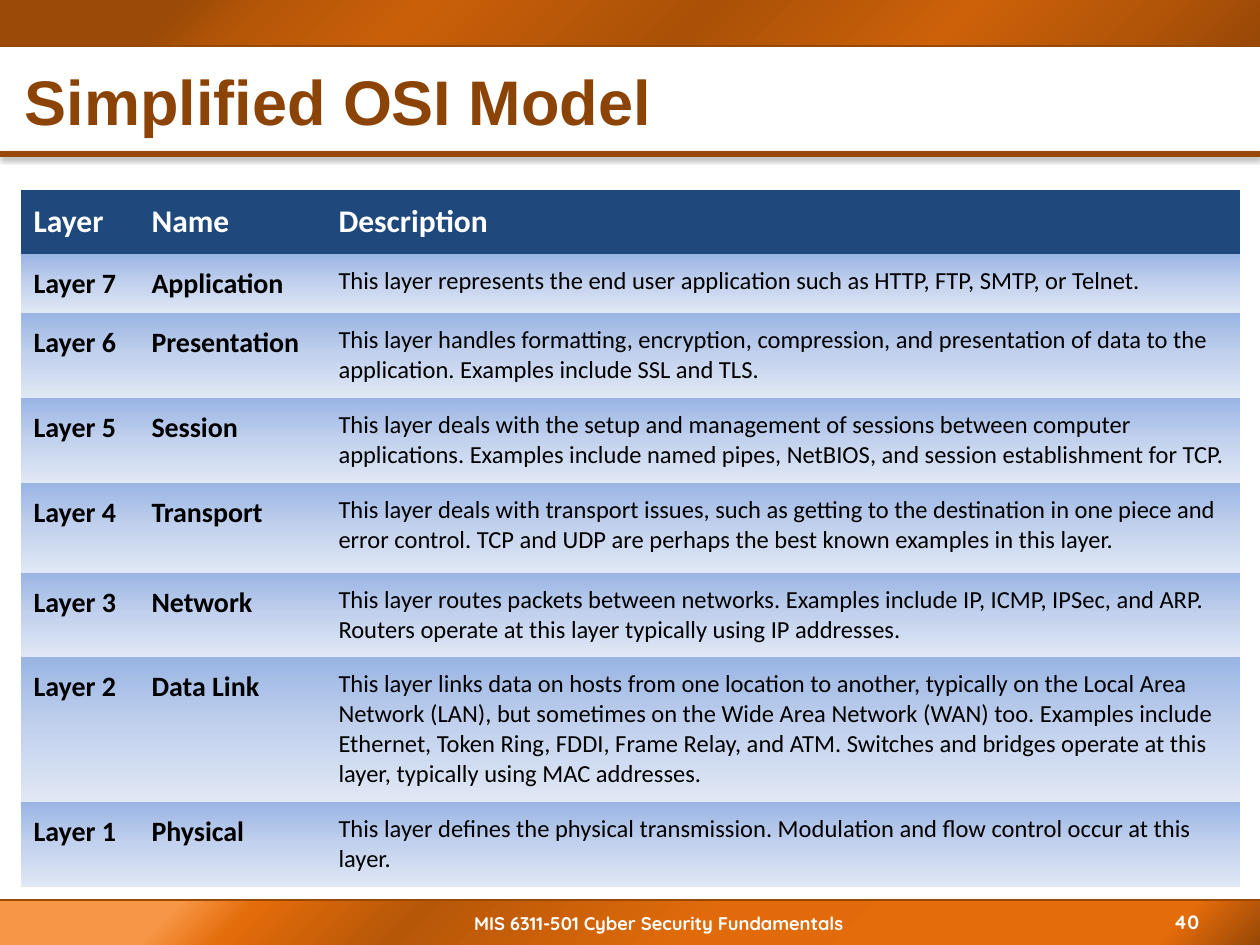
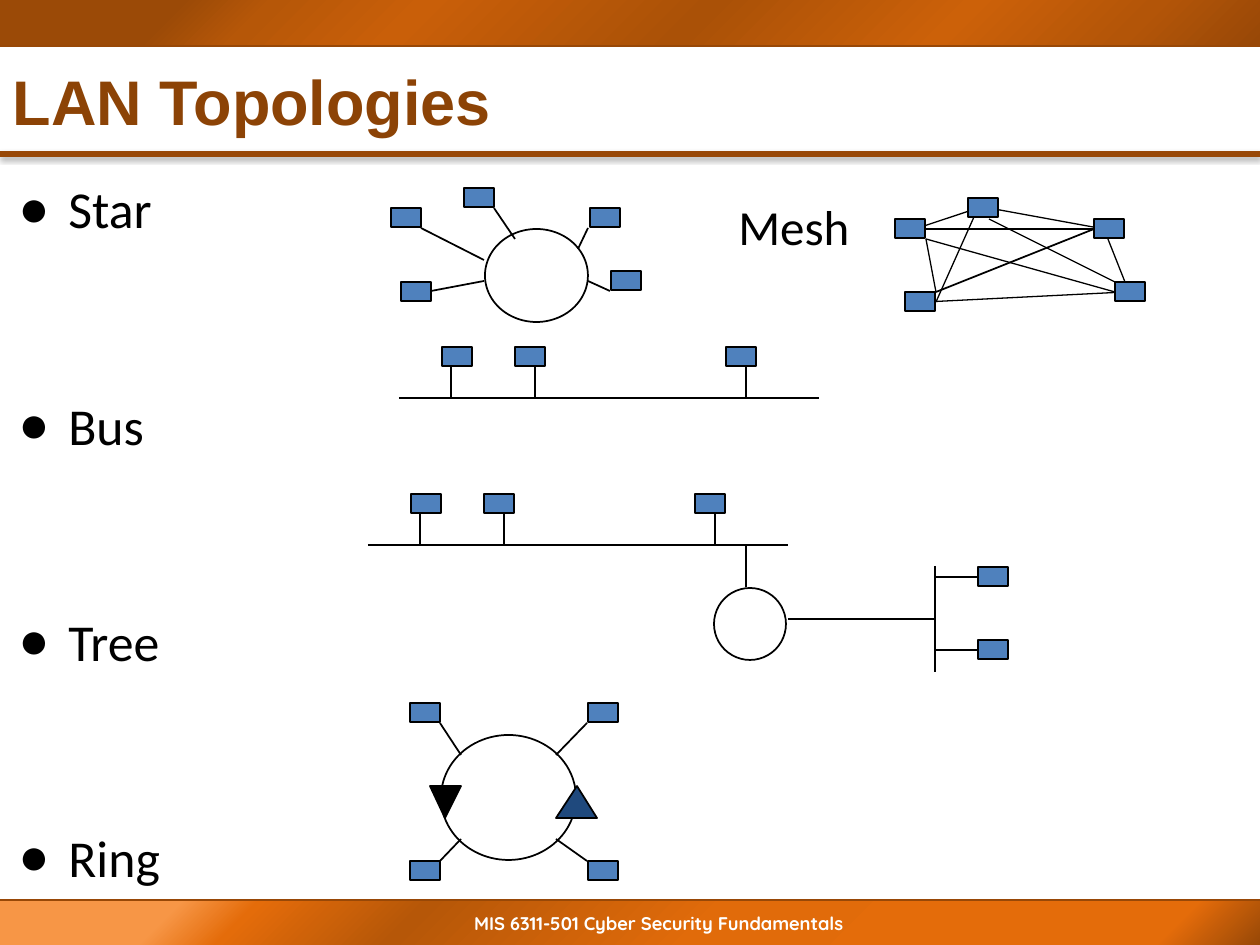
from lxml import etree
from pptx import Presentation
from pptx.dml.color import RGBColor
from pptx.enum.shapes import MSO_CONNECTOR, MSO_SHAPE
from pptx.enum.text import MSO_ANCHOR, PP_ALIGN
from pptx.oxml.ns import qn
from pptx.util import Emu, Pt

LINE = MSO_CONNECTOR.STRAIGHT
RECT, OVAL = MSO_SHAPE.RECTANGLE, MSO_SHAPE.OVAL
TOP, MIDDLE = MSO_ANCHOR.TOP, MSO_ANCHOR.MIDDLE
LEFT, CENTER = PP_ALIGN.LEFT, PP_ALIGN.CENTER

PX = 914400 / 126
WIDTH, HEIGHT = 1260, 945
BAND_HEIGHT = 45
FOOTER_TOP = 900
NODE_WIDTH, NODE_HEIGHT = 30, 19

WHITE = RGBColor(0xFF, 0xFF, 0xFF)
BLACK = RGBColor(0, 0, 0)
BROWN = RGBColor(0x98, 0x48, 0x07)
TITLE_BROWN = RGBColor(0x8C, 0x43, 0x06)
NAVY = RGBColor(0x1F, 0x49, 0x7D)
NODE_BLUE = RGBColor(0x4F, 0x81, 0xBD)

# Gradient stops: percent and colour
TOP_STOPS = [(14, "9B4A07"), (21, "B65708"), (33, "C95F09"), (55, "AA5107"),
             (75, "CC6109"), (89, "B35508"), (100, "984807")]
FOOTER_STOPS = [(14, "F79646"), (20, "E46C0A"), (33, "B65708"), (56, "E16B0A"),
                (78, "E46C0A"), (92, "E46C0A"), (100, "984807")]
ROW_STOPS = [(0, "9AB5E4"), (50, "C2D1ED"), (100, "E1E8F5")]

NO_GRID_STYLE = "{2D5ABB26-0587-4C30-8999-92F81FD0307C}"
COLUMN_WIDTHS = [118, 187, 914]
ROW_HEIGHTS = [64, 59, 85, 85, 90, 84, 145, 85]
OSI_ROWS = [
    ("Layer", "Name", "Description"),
    ("Layer 7", "Application",
     "This layer represents the end user application such as HTTP, FTP, SMTP, or Telnet."),
    ("Layer 6", "Presentation",
     "This layer handles formatting, encryption, compression, and presentation of data to "
     "the application. Examples include SSL and TLS."),
    ("Layer 5", "Session",
     "This layer deals with the setup and management of sessions between computer "
     "applications. Examples include named pipes, NetBIOS, and session establishment for TCP."),
    ("Layer 4", "Transport",
     "This layer deals with transport issues, such as getting to the destination in one "
     "piece and error control. TCP and UDP are perhaps the best known examples in this layer."),
    ("Layer 3", "Network",
     "This layer routes packets between networks. Examples include IP, ICMP, IPSec, and ARP. "
     "Routers operate at this layer typically using IP addresses."),
    ("Layer 2", "Data Link",
     "This layer links data on hosts from one location to another, typically on the Local "
     "Area Network (LAN), but sometimes on the Wide Area Network (WAN) too. Examples include "
     "Ethernet, Token Ring, FDDI, Frame Relay, and ATM. Switches and bridges operate at this "
     "layer, typically using MAC addresses."),
    ("Layer 1", "Physical",
     "This layer defines the physical transmission. Modulation and flow control occur at "
     "this layer."),
]


def px(length):
    return Emu(round(length * PX))


def add_child(parent, tag, **attributes):
    child = etree.SubElement(parent, qn(tag))
    for key, value in attributes.items():
        child.set(key, str(value))
    return child


# Text
def write_text(frame, text, *, size, color=BLACK, font="Calibri", bold=False, align=LEFT,
               anchor=TOP, wrap=True, bullet=None, indent=0, gap=0):
    """Fill a text frame with one paragraph per line of text."""
    frame.word_wrap = wrap
    frame.vertical_anchor = anchor
    for index, line in enumerate(text.split("\n")):
        paragraph = frame.add_paragraph() if index else frame.paragraphs[0]
        if bullet:
            properties = paragraph._p.get_or_add_pPr()
            properties.set("marL", str(px(indent)))
            properties.set("indent", str(-px(indent)))
            add_child(properties, "a:buFont", typeface="Arial")
            add_child(properties, "a:buChar", char=bullet)
        if index:
            paragraph.space_before = Pt(gap)
        paragraph.alignment = align
        run = paragraph.add_run()
        run.text = line
        run.font.name = font
        run.font.size = Pt(size)
        run.font.bold = bold
        run.font.color.rgb = color


def add_text(slide, box, text, **text_format):
    frame = slide.shapes.add_textbox(*map(px, box)).text_frame
    write_text(frame, text, **text_format)
    return frame


# Shapes and lines
def set_gradient(fill, element, stops, angle):
    fill.gradient()
    stop_list = next(element.iter(qn("a:gsLst")))
    for stop in list(stop_list):
        stop_list.remove(stop)
    for percent, color in stops:
        stop = add_child(stop_list, "a:gs", pos=percent * 1000)
        add_child(stop, "a:srgbClr", val=color)
    next(element.iter(qn("a:lin"))).set("ang", str(angle * 60000))


def paint(shape, fill=None, outline=BLACK):
    shape.shadow.inherit = False
    if fill is None:
        shape.fill.background()
    else:
        shape.fill.solid()
        shape.fill.fore_color.rgb = fill
    if outline is None:
        shape.line.fill.background()
    else:
        shape.line.color.rgb = outline
        shape.line.width = Pt(1)


def add_circle(shapes, *box):
    paint(shapes.add_shape(OVAL, *map(px, box)))


def add_nodes(shapes, corners):
    for left, top in corners:
        node = shapes.add_shape(RECT, *map(px, (left, top, NODE_WIDTH, NODE_HEIGHT)))
        paint(node, NODE_BLUE)


def add_line(shapes, x1, y1, x2, y2, color=BLACK, width=1):
    """Draw a line and return its empty effect list."""
    line = shapes.add_connector(LINE, *map(px, (x1, y1, x2, y2)))
    line.line.color.rgb = color
    line.line.width = Pt(width)
    return add_child(line._element.spPr, "a:effectLst")


def add_lines(shapes, lines, **line_format):
    for ends in lines:
        add_line(shapes, *ends, **line_format)


def add_triangle(shapes, corners, fill):
    builder = shapes.build_freeform(*corners[0], scale=PX)
    builder.add_line_segments(corners[1:], close=True)
    paint(builder.convert_to_shape(), fill)


# Parts shared by the slides
def add_band(slide, top, stops):
    band = slide.shapes.add_shape(RECT, 0, px(top), px(WIDTH), px(BAND_HEIGHT))
    paint(band, outline=None)
    set_gradient(band.fill, band._element, stops, 45)


def add_framed_slide(deck, title, title_inset=13):
    slide = deck.slides.add_slide(deck.slide_layouts[6])
    add_band(slide, FOOTER_TOP, FOOTER_STOPS)
    add_band(slide, 0, TOP_STOPS)
    for y in (46, FOOTER_TOP):
        add_line(slide.shapes, 0, y, WIDTH, y, BROWN, 1.5)
    effects = add_line(slide.shapes, 0, 154, WIDTH, 154, BROWN, 3)
    shadow = add_child(effects, "a:outerShdw", blurRad=Pt(3.1), dist=Pt(1.6),
                       dir=5400000, rotWithShape=0)
    shadow_color = add_child(shadow, "a:srgbClr", val="000000")
    add_child(shadow_color, "a:alpha", val=38000)

    add_text(slide, (204, 906, 910, 37), "MIS 6311-501 Cyber Security Fundamentals",
             size=10.5, font="Quicksand", color=WHITE, bold=True, align=CENTER)
    heading = add_text(slide, (0, 53, WIDTH, 94), title, size=36, font="Arial",
                       color=TITLE_BROWN, bold=True, anchor=MIDDLE)
    heading.margin_left = px(title_inset)
    return slide


# OSI table
def add_osi_table(slide):
    frame = slide.shapes.add_table(
        len(OSI_ROWS), len(COLUMN_WIDTHS), px(21), px(190),
        px(sum(COLUMN_WIDTHS)), px(sum(ROW_HEIGHTS)))
    table = frame.table
    table.first_row = table.horz_banding = False
    next(frame._element.iter(qn("a:tableStyleId"))).text = NO_GRID_STYLE
    for column, width in zip(table.columns, COLUMN_WIDTHS):
        column.width = px(width)
    for row, height in zip(table.rows, ROW_HEIGHTS):
        row.height = px(height)
    for r, texts in enumerate(OSI_ROWS):
        for c, text in enumerate(texts):
            cell = table.cell(r, c)
            cell.margin_left = cell.margin_right = px(12.6)
            cell.margin_top = cell.margin_bottom = px(12.6)
            if r == 0:
                cell.fill.solid()
                cell.fill.fore_color.rgb = NAVY
                write_text(cell.text_frame, text, size=18, color=WHITE, bold=True)
            else:
                set_gradient(cell.fill, cell._tc, ROW_STOPS, 90)
                is_description = c == 2
                write_text(cell.text_frame, text, size=14 if is_description else 16,
                           bold=not is_description)


# Topology diagrams
def add_backbone(shapes, left, y):
    """Draw a cable with three nodes hanging above it."""
    add_line(shapes, left, y, left + 420, y)
    add_nodes(shapes, [(left + dx, y - 51) for dx in (43, 116, 327)])
    add_lines(shapes, [(left + dx, y - 31, left + dx, y) for dx in (52, 136, 347)])


def draw_star(shapes):
    add_circle(shapes, 485, 229, 103, 93)
    add_nodes(shapes, [(391, 208), (464, 188), (401, 282), (611, 271), (590, 208)])
    add_lines(shapes, [(421, 228, 484, 260), (431, 291, 484, 281), (494, 208, 515, 239),
                       (588, 228, 578, 249), (610, 291, 588, 281)])


def draw_bus(shapes):
    add_backbone(shapes, 399, 398)


def draw_tree(shapes):
    add_backbone(shapes, 368, 545)
    add_circle(shapes, 714, 588, 72, 72)
    add_nodes(shapes, [(978, 567), (978, 640)])
    add_lines(shapes, [(746, 545, 746, 587), (788, 619, 935, 619), (935, 566, 935, 672),
                       (935, 577, 977, 577), (935, 650, 977, 650)])


def draw_ring(shapes):
    add_circle(shapes, 441, 735, 135, 125)
    add_nodes(shapes, [(x, y) for x in (410, 588) for y in (703, 861)])
    add_lines(shapes, [(x1, y1, x2, y2) for x1, x2 in ((440, 461), (587, 556))
                       for y1, y2 in ((723, 755), (861, 839))])
    add_triangle(shapes, [(445, 818), (430, 786), (461, 786)], BLACK)
    add_triangle(shapes, [(577, 786), (556, 818), (597, 818)], NAVY)


def draw_mesh(shapes):
    add_line(shapes, 936, 292, 1094, 229)
    add_lines(shapes, [(989, 219, 1115, 282), (926, 239, 1115, 292), (936, 292, 926, 239),
                       (936, 302, 978, 208), (926, 302, 1125, 292), (1104, 229, 1125, 282),
                       (1104, 229, 989, 208), (978, 208, 915, 229), (915, 229, 1094, 229)],
              width=0.75)
    add_nodes(shapes, [(895, 219), (968, 198), (905, 292), (1115, 282), (1094, 219)])


def main():
    deck = Presentation()
    deck.slide_width, deck.slide_height = px(WIDTH), px(HEIGHT)

    # Simplified OSI Model
    osi = add_framed_slide(deck, "Simplified OSI Model", title_inset=25)
    add_text(osi, (1134, 903, 105, 37), "40", size=11, font="Quicksand", color=WHITE,
             bold=True, align=CENTER, anchor=MIDDLE)
    add_osi_table(osi)

    # LAN Topologies
    lan = add_framed_slide(deck, "LAN Topologies")
    add_text(lan, (6, 171, 300, 733), "Star\nBus\nTree\nRing", size=29.6,
             bullet="●", indent=50, gap=88)
    add_text(lan, (726, 190, 145, 72), "Mesh", size=28, wrap=False)
    for draw_topology in (draw_star, draw_bus, draw_tree, draw_ring, draw_mesh):
        draw_topology(lan.shapes.add_group_shape().shapes)

    deck.save("out.pptx")


if __name__ == "__main__":
    main()
